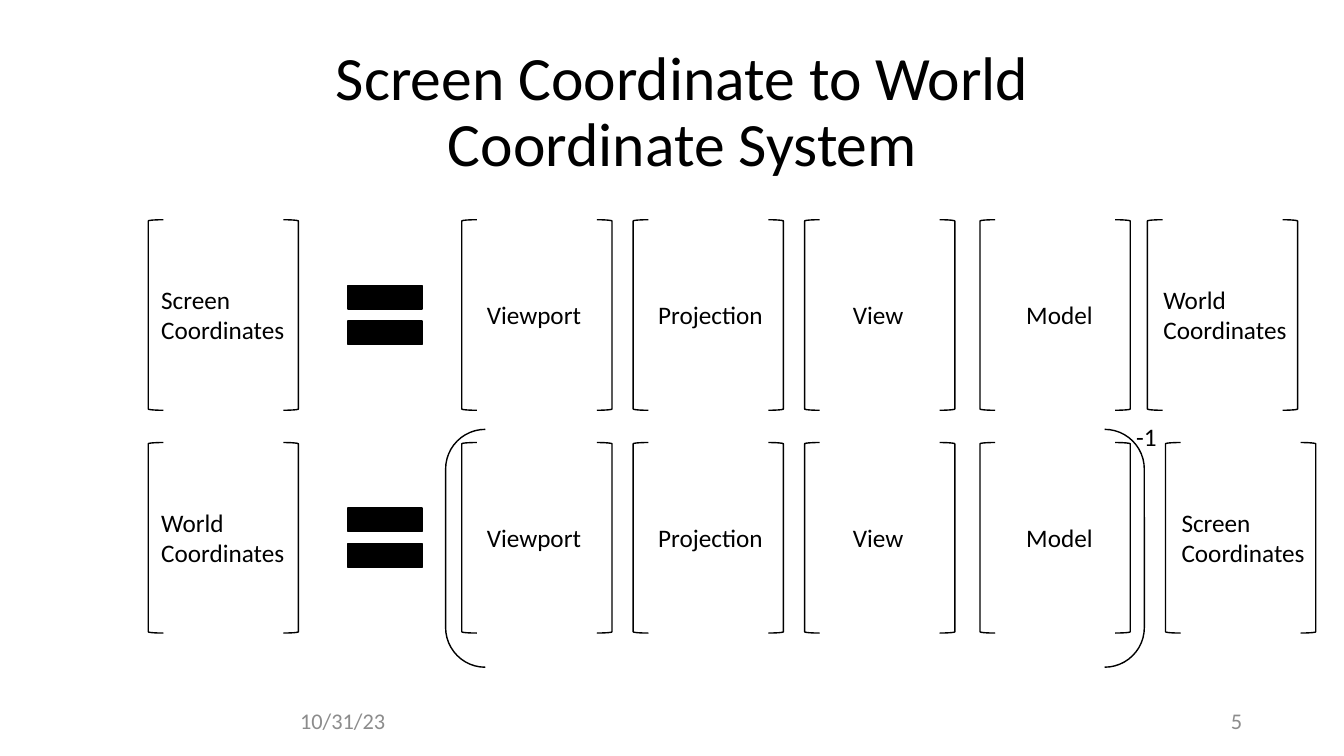
from pptx import Presentation
from pptx.dml.color import RGBColor
from pptx.enum.shapes import MSO_SHAPE
from pptx.enum.text import MSO_ANCHOR, MSO_AUTO_SIZE, PP_ALIGN
from pptx.util import Inches, Pt

LEFT_BRACKET, RIGHT_BRACKET = MSO_SHAPE.LEFT_BRACKET, MSO_SHAPE.RIGHT_BRACKET
EQUALS, PARENTHESES = MSO_SHAPE.MATH_EQUAL, MSO_SHAPE.DOUBLE_BRACKET
TOP, MIDDLE = MSO_ANCHOR.TOP, MSO_ANCHOR.MIDDLE
LEFT, CENTER, RIGHT = PP_ALIGN.LEFT, PP_ALIGN.CENTER, PP_ALIGN.RIGHT
NO_FIT, GROW = MSO_AUTO_SIZE.NONE, MSO_AUTO_SIZE.SHAPE_TO_FIT_TEXT

# Content
TITLE = "Screen Coordinate to World Coordinate System"
DATE, PAGE = "10/31/23", "5"
INVERSE = "-1"
# Transforms: name, left edge of the matrix, indent of the name inside it
TRANSFORMS = [
    ("Viewport", 4.58, 0.15),
    ("Projection", 6.28, 0.15),
    ("View", 7.98, 0.38),
    ("Model", 9.72, 0.36),
]
# Equations: top, result, operand, left edge of the operand
EQUATIONS = [
    (2.18, "Screen Coordinates", "World Coordinates", 11.38),
    (4.39, "World Coordinates", "Screen Coordinates", 11.56),
]

# Layout in inches
SLIDE_W, SLIDE_H = 13.33, 7.5
FONT, BLACK, GRAY = "Calibri", "000000", "8C8C8C"
RESULT_LEFT, RESULT_INDENT, OPERAND_INDENT = 1.47, 0.03, 0.06
MATRIX_W, MATRIX_H, BRACKET_W = 1.49, 1.89, 0.15
LINE_H, TWO_LINES_H = 0.4, 0.71
EQUALS_LEFT, EQUALS_SIZE = 3.32, 1
FOOTER_TOP, FOOTER_W = 6.95, 3

prs = Presentation()
prs.slide_width, prs.slide_height = Inches(SLIDE_W), Inches(SLIDE_H)
slide = prs.slides.add_slide(prs.slide_layouts[5])


def rgb(color):
    return RGBColor.from_string(color)


def place(box):
    return [Inches(length) for length in box]


def write(frame, text, size, color=BLACK, align=LEFT, anchor=TOP, fit=GROW, wrap=True):
    frame.word_wrap, frame.auto_size = wrap, fit
    frame.vertical_anchor = anchor
    paragraph = frame.paragraphs[0]
    paragraph.alignment = align
    run = paragraph.add_run()
    run.text = text
    run.font.name, run.font.size = FONT, Pt(size)
    run.font.color.rgb = rgb(color)
    return paragraph


def add_label(box, text, size=18, **style):
    write(slide.shapes.add_textbox(*place(box)).text_frame, text, size, **style)


def add_symbol(kind, box, fill=None):
    symbol = slide.shapes.add_shape(kind, *place(box))
    symbol.shadow.inherit = False
    if fill:
        symbol.fill.solid()
        symbol.fill.fore_color.rgb = rgb(fill)
    else:
        symbol.fill.background()
    symbol.line.color.rgb = rgb(BLACK)
    symbol.line.width = Pt(1)


def add_matrix(name, left, top, indent):
    right = left + MATRIX_W - BRACKET_W
    for kind, x in ((LEFT_BRACKET, left), (RIGHT_BRACKET, right)):
        add_symbol(kind, (x, top, BRACKET_W, MATRIX_H))
    height = TWO_LINES_H if " " in name else LINE_H
    label_top = top + (MATRIX_H - height) / 2
    add_label((left + indent, label_top, MATRIX_W, height), name)


# Title
title = slide.shapes.title
title.left, title.top, title.width, title.height = place((2.07, 0.4, 9.4, 1.45))
heading = write(title.text_frame, TITLE, 44, align=CENTER, anchor=MIDDLE, fit=NO_FIT)
heading.line_spacing = 0.9

# Date and page number
for left, text in ((0.92, DATE), (9.42, PAGE)):
    add_label((left, FOOTER_TOP, FOOTER_W, LINE_H), text, 16,
              color=GRAY, align=RIGHT, anchor=MIDDLE, fit=NO_FIT)

# Equations
for top, result, operand, operand_left in EQUATIONS:
    add_matrix(result, RESULT_LEFT, top, RESULT_INDENT)
    equals_top = top + (MATRIX_H - EQUALS_SIZE) / 2
    add_symbol(EQUALS, (EQUALS_LEFT, equals_top, EQUALS_SIZE, EQUALS_SIZE), BLACK)
    for name, left, indent in TRANSFORMS:
        add_matrix(name, left, top, indent)
    add_matrix(operand, operand_left, top, OPERAND_INDENT)

# Inverse of the combined transforms
add_symbol(PARENTHESES, (4.42, 4.26, 6.93, 2.36))
add_label((11.17, 4.13, 0.41, LINE_H), INVERSE, wrap=False)

prs.save("out.pptx")
